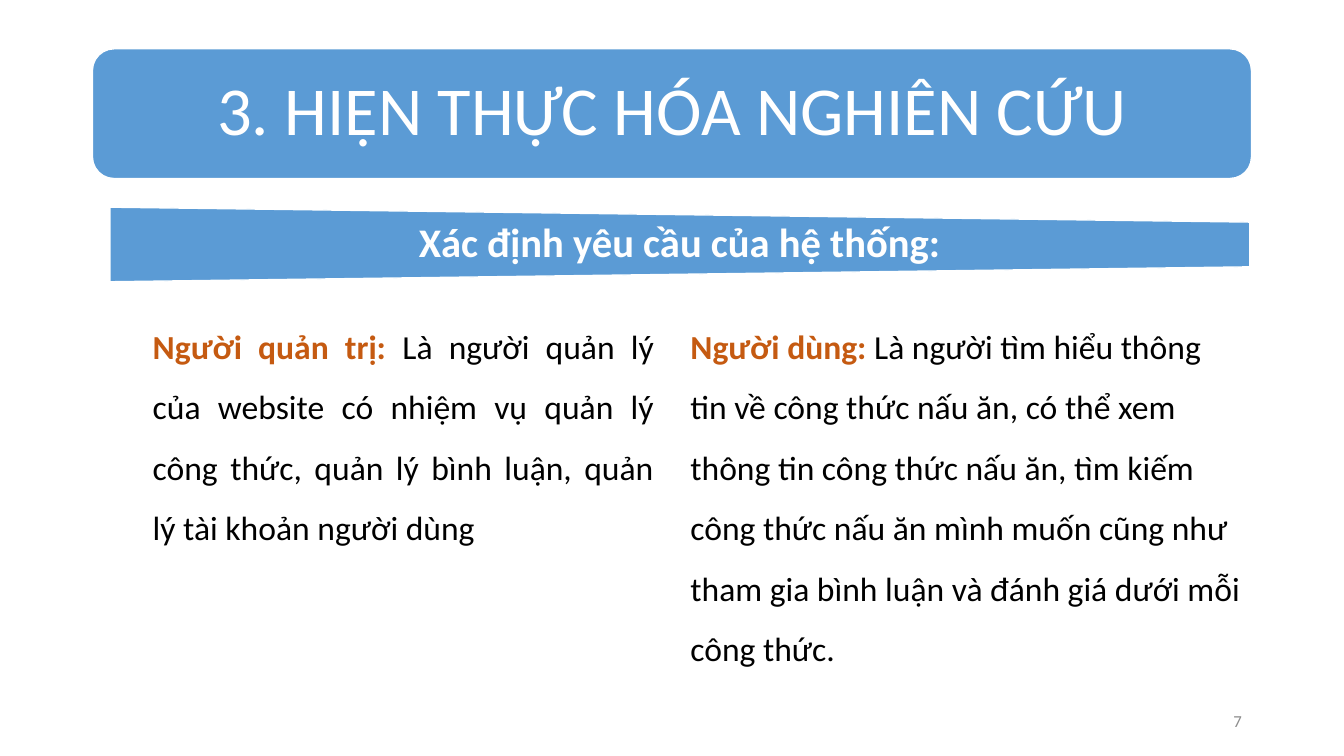
"""Builds the slide on the system requirements of the research project."""
from pptx import Presentation
from pptx.dml.color import RGBColor
from pptx.enum.shapes import MSO_SHAPE
from pptx.enum.text import MSO_ANCHOR, PP_ALIGN
from pptx.util import Cm, Pt

ROUNDED = MSO_SHAPE.ROUNDED_RECTANGLE
TAPERED = MSO_SHAPE.FLOWCHART_MANUAL_OPERATION
TOP, MIDDLE = MSO_ANCHOR.TOP, MSO_ANCHOR.MIDDLE
LEFT, CENTER, RIGHT, JUSTIFY = PP_ALIGN.LEFT, PP_ALIGN.CENTER, PP_ALIGN.RIGHT, PP_ALIGN.JUSTIFY


def color(value):
    """Turn a hex string into a colour."""
    return RGBColor.from_string(value)


def write(box, spans, size, align=LEFT, anchor=TOP, spacing=1.0, indent=0, inset=None):
    """Fill a box with one paragraph of (text, colour, bold) spans."""
    frame = box.text_frame
    frame.word_wrap = True
    frame.vertical_anchor = anchor
    if inset is not None:
        frame.margin_left = frame.margin_right = Cm(0.5)
        frame.margin_top = frame.margin_bottom = Cm(inset)
    para = frame.paragraphs[0]
    para.alignment = align
    para.line_spacing = spacing
    if indent:
        properties = para._p.get_or_add_pPr()
        properties.set("marL", str(Cm(indent)))
        properties.set("indent", "0")
    for text, shade, bold in spans:
        span = para.add_run()
        span.text = text
        span.font.name = "Calibri"
        span.font.size = Pt(size)
        span.font.bold = bold
        span.font.color.rgb = color(shade)


class Board:
    """Holds the style and the current slide."""

    blue, white, orange, black, gray = "5B9BD5", "FFFFFF", "C55A11", "000000", "8C8C8C"

    def __init__(self, deck):
        """Add a blank page to the deck."""
        self.page = deck.slides.add_slide(deck.slide_layouts[6])

    def shape(self, kind, left, top, width, height, rotation=0):
        """Add a blue shape with a thin white outline."""
        shape = self.page.shapes.add_shape(kind, Cm(left), Cm(top), Cm(width), Cm(height))
        shape.shadow.inherit = False
        shape.rotation = rotation
        shape.fill.solid()
        shape.fill.fore_color.rgb = color(self.blue)
        shape.line.color.rgb = color(self.white)
        shape.line.width = Pt(1)
        return shape

    def text(self, left, top, width, height, spans, size, **style):
        """Add a text box."""
        box = self.page.shapes.add_textbox(Cm(left), Cm(top), Cm(width), Cm(height))
        write(box, spans, size, **style)

    def title(self, text):
        """Add the rounded title bar."""
        bar = self.shape(ROUNDED, 2.33, 1.23, 29.21, 3.27)
        write(bar, [(text, self.white, False)], 49, align=CENTER, anchor=MIDDLE,
              spacing=0.9, inset=0.5)

    def banner(self, text, left=2.77, top=5.22, width=28.73, height=1.88):
        """Add the subtitle on a tapered shape turned on its side."""
        shift = (width - height) / 2
        self.shape(TAPERED, left + shift, top - shift, height, width, rotation=270)
        self.text(left, top, width, height, [(text, self.white, True)], 29,
                  align=CENTER, anchor=MIDDLE, spacing=0.9, inset=0)

    def role(self, left, name, duty, **style):
        """Add a column that describes one user role."""
        spans = [(name, self.orange, True), (duty, self.black, False)]
        self.text(left, 7.57, 14.4, 9.58, spans, 24, spacing=1.5, **style)

    def number(self, text):
        """Add the page number."""
        self.text(23.93, 17.65, 7.62, 1.02, [(text, self.gray, False)], 12,
                  align=RIGHT, anchor=MIDDLE)


def main():
    """Build and save the deck."""
    deck = Presentation()
    deck.slide_width, deck.slide_height = Cm(33.87), Cm(19.05)
    board = Board(deck)
    board.role(2.33, "Người quản trị: ",
               "Là người quản lý của website có nhiệm vụ quản lý công thức, "
               "quản lý bình luận, quản lý tài khoản người dùng",
               align=JUSTIFY, indent=1.27)
    board.role(17.15, "Người dùng: ",
               "Là người tìm hiểu thông tin về công thức nấu ăn, có thể xem thông tin "
               "công thức nấu ăn, tìm kiếm công thức nấu ăn mình muốn cũng như tham gia "
               "bình luận và đánh giá dưới mỗi công thức.")
    board.number("7")
    board.banner("Xác định yêu cầu của hệ thống:")
    board.title("3. HIỆN THỰC HÓA NGHIÊN CỨU")
    deck.save("out.pptx")


if __name__ == "__main__":
    main()
